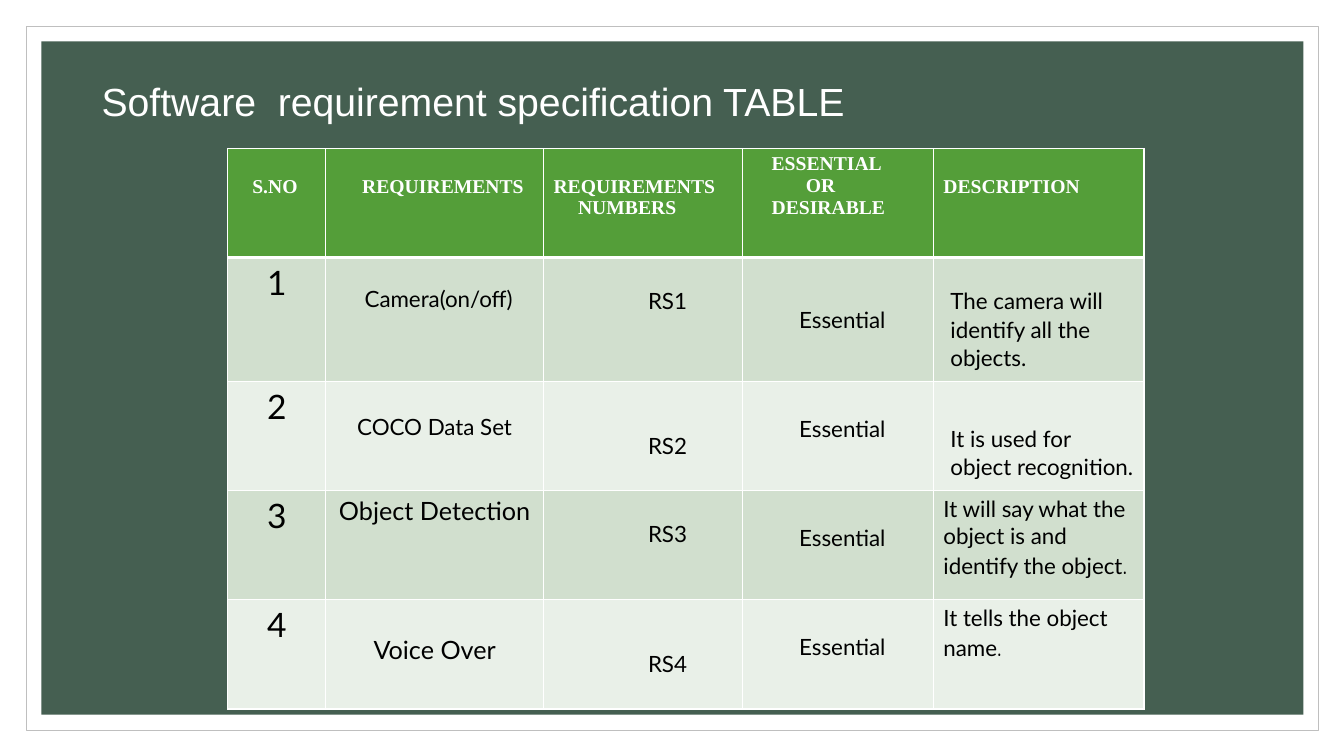
from lxml import etree
from pptx import Presentation
from pptx.dml.color import RGBColor
from pptx.enum.shapes import MSO_SHAPE
from pptx.enum.text import MSO_ANCHOR as Anchor, PP_ALIGN as Align
from pptx.oxml.ns import qn
from pptx.util import Pt

COLORS = {
    "white": "FFFFFF", "black": "000000", "frame": "BFBFBF", "panel": "455F51",
    "header": "549E39", "odd": "D1DFCE", "even": "E9F0E8",
}
# Cell margins: left, top, right, bottom
PLAIN = (7.2, 3.6, 7.2, 3.6)
PADDED = (11.5, 20, 5.75, 7.2)
RAISED = (11.5, 20, 5.75, 34.5)


def color(name):
    return RGBColor.from_string(COLORS[name])


def write_cell(cell, lines, fill, size=16, margins=PLAIN, anchor=Anchor.TOP,
               align=Align.LEFT, spacing=None, header=False):
    """Style a cell and write its lines, given as (text, left indent) pairs."""
    properties = cell._tc.get_or_add_tcPr()
    for side in ("lnL", "lnR", "lnT", "lnB"):
        width = 3 if header and side == "lnB" else 1
        border = etree.SubElement(properties, qn(f"a:{side}"), w=str(Pt(width)))
        solid = etree.SubElement(border, qn("a:solidFill"))
        etree.SubElement(solid, qn("a:srgbClr"), val=COLORS["white"])
    cell.fill.solid()
    cell.fill.fore_color.rgb = color(fill)
    (cell.margin_left, cell.margin_top,
     cell.margin_right, cell.margin_bottom) = map(Pt, margins)
    cell.vertical_anchor = anchor
    for index, (text, indent) in enumerate(lines):
        frame = cell.text_frame
        para = frame.add_paragraph() if index else frame.paragraphs[0]
        para.add_run().text = text
        para._p.get_or_add_pPr().set("marL", str(Pt(indent)))
        para.alignment = align
        if spacing:
            para.line_spacing = spacing
        para.font.size = Pt(size)
        para.font.name = "Times New Roman" if header else "Lato"
        para.font.bold = header
        para.font.color.rgb = color("white" if header else "black")


deck = Presentation()
deck.slide_width, deck.slide_height = Pt(960), Pt(540)
page = deck.slides.add_slide(deck.slide_layouts[6])

# Framed background
for bounds, fill, line in (
    ((19, 19, 923, 502.5), "white", "frame"),
    ((29.5, 29.5, 901.5, 481), "panel", None),
):
    panel = page.shapes.add_shape(MSO_SHAPE.RECTANGLE, *map(Pt, bounds))
    panel.shadow.inherit = False
    panel.fill.solid()
    panel.fill.fore_color.rgb = color(fill)
    if line:
        panel.line.color.rgb = color(line)
        panel.line.width = Pt(0.5)
    else:
        panel.line.fill.background()

# Requirements table
column_widths = (70, 155.5, 142, 136.5, 150.5)
row_heights = (78, 88.5, 78, 78, 78)
table = page.shapes.add_table(
    len(row_heights), len(column_widths), Pt(162.75), Pt(106),
    Pt(sum(column_widths)), Pt(sum(row_heights))).table
table.horz_banding = False
for column, width in zip(table.columns, column_widths):
    column.width = Pt(width)
for row, height in zip(table.rows, row_heights):
    row.height = Pt(height)

headings = (
    ([("S.NO", 0)], (17.5, 19.5, 7.2, 3.6)),
    ([("REQUIREMENTS", 0)], (26, 20, 5.75, 7.2)),
    ([("REQUIREMENTS", 0), ("NUMBERS", 17.5)], (7.2, 19.5, 7.2, 3.6)),
    ([("ESSENTIAL", 0), ("OR", 24.5), ("DESIRABLE", 0)], (21, 3.6, 7.2, 3.6)),
    ([("DESCRIPTION", 0)], (7.2, 19.5, 7.2, 3.6)),
)
for column, (lines, margins) in enumerate(headings):
    write_cell(table.cell(0, column), lines, "header", 14, margins, header=True)

# Requirement, its size and margins, code anchor, description, padded description
requirements = (
    ("Camera(on/off)", 16, PADDED, Anchor.TOP,
     "The camera will identify all the objects.", True),
    ("COCO Data Set", 16, (7.2, 23, 7.2, 3.6), Anchor.MIDDLE,
     "It is used for object recognition.", True),
    ("Object Detection", 18, PLAIN, Anchor.TOP,
     "It will say what the object is and identify the object", False),
    ("Voice Over", 18, (7.2, 25, 7.2, 3.6), Anchor.MIDDLE,
     "It tells the object name", False),
)
for number, (name, size, margins, code_anchor, description, padded) in enumerate(
        requirements, 1):
    fill = "odd" if number % 2 else "even"
    cells = table.rows[number].cells
    write_cell(cells[0], [(str(number), 0)], fill, 24, align=Align.CENTER)
    write_cell(cells[1], [(name, 0)], fill, size, margins, align=Align.CENTER)
    write_cell(cells[2], [(f"RS{number}", 29.5)], fill, 16, PADDED, code_anchor,
               Align.CENTER, 1.07)
    write_cell(cells[3], [("Essential", 0.75)], fill, 16, RAISED, Anchor.BOTTOM,
               Align.CENTER, 1.07)
    if padded:
        write_cell(cells[4], [(description, 0.75)], fill, 16, PADDED,
                   Anchor.BOTTOM, spacing=1.07)
    else:
        write_cell(cells[4], [(description, 0)], fill)
        stop = cells[4].text_frame.paragraphs[0].add_run()
        stop.text = "."
        stop.font.name = "Quicksand"
        stop.font.size = Pt(18)

# Title
title = page.shapes.add_textbox(Pt(65.5), Pt(52), Pt(792.5), Pt(41)).text_frame
title.word_wrap = True
para = title.paragraphs[0]
para.add_run().text = "Software  requirement specification TABLE"
para.font.name = "Arial"
para.font.size = Pt(28)
para.font.color.rgb = color("white")

deck.save("out.pptx")
